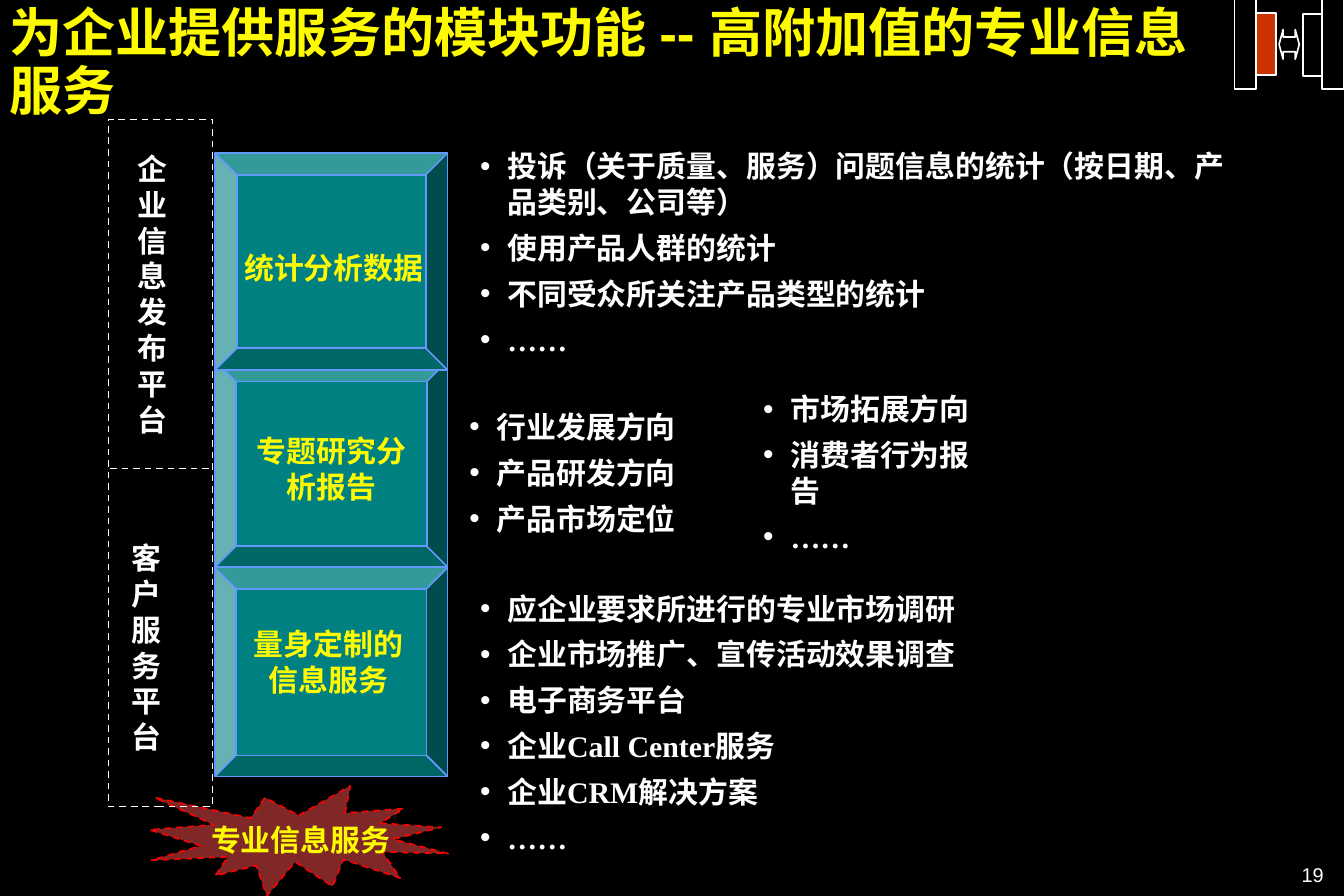
from dataclasses import dataclass
from typing import Optional

import lxml.etree
import pptx
import pptx.dml.color
import pptx.enum.dml
import pptx.enum.shapes
import pptx.enum.text
import pptx.oxml.ns
import pptx.util

Cm = pptx.util.Cm
Pt = pptx.util.Pt
RGBColor = pptx.dml.color.RGBColor
ShapeKind = pptx.enum.shapes.MSO_SHAPE
Align = pptx.enum.text.PP_ALIGN
Anchor = pptx.enum.text.MSO_ANCHOR
qn = pptx.oxml.ns.qn

BLACK = RGBColor(0x00, 0x00, 0x00)
WHITE = RGBColor(0xFF, 0xFF, 0xFF)
YELLOW = RGBColor(0xFE, 0xFB, 0x00)
TEAL = RGBColor(0x00, 0x80, 0x80)
BLUE = RGBColor(0x65, 0x98, 0xFF)
RED = RGBColor(0xFF, 0x00, 0x00)
PINK = RGBColor(0xFF, 0x50, 0x50)
ORANGE = RGBColor(0xCC, 0x33, 0x00)


@dataclass(frozen=True)
class Box:
    """A place on the slide, in centimetres."""
    left: float
    top: float
    width: float
    height: float

    def lengths(self) -> tuple:
        return Cm(self.left), Cm(self.top), Cm(self.width), Cm(self.height)


@dataclass(frozen=True)
class Figure:
    kind: int
    box: Box
    line: RGBColor = WHITE
    fill: Optional[RGBColor] = None
    opacity: int = 100
    dashed: bool = False
    adjustments: tuple = ()


@dataclass(frozen=True)
class Label:
    text: str
    box: Box
    color: RGBColor = YELLOW
    align: int = Align.CENTER
    wrap: bool = True


@dataclass(frozen=True)
class BulletList:
    placeholder: int
    box: Box
    items: tuple


MODULES = [
    Figure(ShapeKind.BEVEL, Box(4.57, top, 4.95, height), BLUE, TEAL, adjustments=(0.101,))
    for top, height in ((7.67, 4.39), (12.07, 4.44), (3.25, 4.62))
]
BURST = Figure(ShapeKind.EXPLOSION1, Box(3.18, 16.71, 6.35, 2.34), RED, PINK, 50, True)
PLATFORMS = Figure(ShapeKind.RECTANGLE, Box(2.31, 2.54, 2.21, 14.61), dashed=True)
POSITION_ICON = [
    Figure(ShapeKind.RECTANGLE, Box(26.25, -0.01, 0.46, 1.91)),
    Figure(ShapeKind.RECTANGLE, Box(26.72, 0.28, 0.41, 1.32), fill=ORANGE),
    Figure(ShapeKind.RECTANGLE, Box(28.12, -0.01, 0.46, 1.91)),
    Figure(ShapeKind.RECTANGLE, Box(27.71, 0.3, 0.41, 1.32)),
    Figure(ShapeKind.LEFT_RIGHT_ARROW, Box(27.2, 0.63, 0.43, 0.63), adjustments=(0.5, 0.2)),
]
LABELS = [
    Label("专业信息服务", Box(4.24, 17.35, 5.08, 1.02), align=Align.LEFT),
    Label("企业信息发布平台", Box(2.67, 2.87, 1.5, 6.76), WHITE, Align.LEFT),
    Label("客户服务平台", Box(2.54, 10.8, 1.07, 5.92), WHITE, Align.LEFT),
    Label("统计分析数据", Box(4.98, 4.98, 4.24, 1.42), wrap=False),
    Label("专题研究分析报告", Box(4.98, 8.71, 4.14, 2.51)),
    Label("量身定制的信息服务", Box(5.08, 12.93, 3.81, 2.29)),
]
LISTS = [
    BulletList(1, Box(9.96, 3.02, 16.71, 4.7), (
        "投诉（关于质量、服务）问题信息的统计（按日期、产品类别、公司等）",
        "使用产品人群的统计", "不同受众所关注产品类型的统计", "……")),
    BulletList(2, Box(9.73, 8.56, 5.28, 2.97), ("行业发展方向", "产品研发方向", "产品市场定位")),
    BulletList(3, Box(9.96, 12.42, 13.13, 5.89), (
        "应企业要求所进行的专业市场调研", "企业市场推广、宣传活动效果调查", "电子商务平台",
        "企业Call Center服务", "企业CRM解决方案", "……")),
    BulletList(4, Box(15.98, 8.56, 5.16, 2.97), ("市场拓展方向", "消费者行为报告", "……")),
]


def add_bullet(paragraph) -> None:
    properties = paragraph._p.get_or_add_pPr()
    properties.set("marL", str(Cm(0.58)))
    properties.set("indent", str(-Cm(0.58)))
    lxml.etree.SubElement(properties, qn("a:buFont")).set("typeface", "Arial")
    lxml.etree.SubElement(properties, qn("a:buChar")).set("char", "•")


def write_text(shape, *lines: str, size: int = 18, font: str = "Times New Roman",
               color: RGBColor = WHITE, bold: bool = True, align: int = Align.LEFT,
               anchor: int = Anchor.MIDDLE, inset: bool = True, wrap: bool = True,
               bullets: bool = False, line_spacing: float = 1.0, space_after: int = 0) -> None:
    frame = shape.text_frame
    frame.auto_size = pptx.enum.text.MSO_AUTO_SIZE.NONE
    frame.word_wrap = wrap
    frame.vertical_anchor = anchor
    frame.margin_left = frame.margin_right = Cm(0.25 if inset else 0)
    frame.margin_top = frame.margin_bottom = Cm(0.13 if inset else 0)
    for index, line in enumerate(lines):
        paragraph = frame.add_paragraph() if index else frame.paragraphs[0]
        if bullets:
            add_bullet(paragraph)
        paragraph.alignment = align
        paragraph.line_spacing = line_spacing
        paragraph.space_before = Pt(0)
        paragraph.space_after = Pt(space_after)
        run = paragraph.add_run()
        run.text = line
        run.font.size = Pt(size)
        run.font.name = font
        run.font.bold = bold
        run.font.color.rgb = color


def style_line(line, color: RGBColor, dashed: bool) -> None:
    line.color.rgb = color
    line.width = Pt(1)
    if dashed:
        line.dash_style = pptx.enum.dml.MSO_LINE.DASH


def draw_figure(slide, figure: Figure) -> None:
    shape = slide.shapes.add_shape(figure.kind, *figure.box.lengths())
    shape.shadow.inherit = False
    for index, value in enumerate(figure.adjustments):
        shape.adjustments[index] = value
    style_line(shape.line, figure.line, figure.dashed)
    if figure.fill is None:
        shape.fill.background()
        return
    shape.fill.solid()
    shape.fill.fore_color.rgb = figure.fill
    if figure.opacity < 100:
        color = shape._element.spPr.find(qn("a:solidFill"))[0]
        lxml.etree.SubElement(color, qn("a:alpha")).set("val", str(figure.opacity * 1000))


def place(shape, box: Box) -> None:
    shape.left, shape.top, shape.width, shape.height = box.lengths()


def draw_platform_divider(slide) -> None:
    divider = slide.shapes.add_connector(
        pptx.enum.shapes.MSO_CONNECTOR.STRAIGHT, Cm(2.34), Cm(9.96), Cm(4.45), Cm(9.96))
    style_line(divider.line, WHITE, True)
    lxml.etree.SubElement(divider._element.spPr, qn("a:effectLst"))


def main() -> None:
    presentation = pptx.Presentation()
    presentation.slide_width = Cm(28.58)
    presentation.slide_height = Cm(19.05)
    comparison_layout = presentation.slide_layouts[4]
    slide = presentation.slides.add_slide(comparison_layout)
    slide.background.fill.solid()
    slide.background.fill.fore_color.rgb = BLACK

    place(slide.shapes.title, Box(0.2, 0.15, 25.6, 1.22))
    write_text(slide.shapes.title, "为企业提供服务的模块功能 -- 高附加值的专业信息服务", size=32,
               font="Arial", color=YELLOW, anchor=Anchor.TOP, inset=False, line_spacing=0.9)
    for bullet_list in LISTS:
        body = slide.placeholders[bullet_list.placeholder]
        place(body, bullet_list.box)
        write_text(body, *bullet_list.items, bullets=True, space_after=6)

    for figure in [*MODULES, BURST, PLATFORMS, *POSITION_ICON]:
        draw_figure(slide, figure)
    draw_platform_divider(slide)
    for label in LABELS:
        text_box = slide.shapes.add_textbox(*label.box.lengths())
        write_text(text_box, label.text, color=label.color, align=label.align, wrap=label.wrap)

    page_number = slide.shapes.add_textbox(*Box(22.23, 18.34, 5.92, 0.51).lengths())
    write_text(page_number, "19", size=12, font="Arial", bold=False, align=Align.RIGHT,
               anchor=Anchor.TOP, inset=False)
    presentation.save("out.pptx")


if __name__ == "__main__":
    main()
